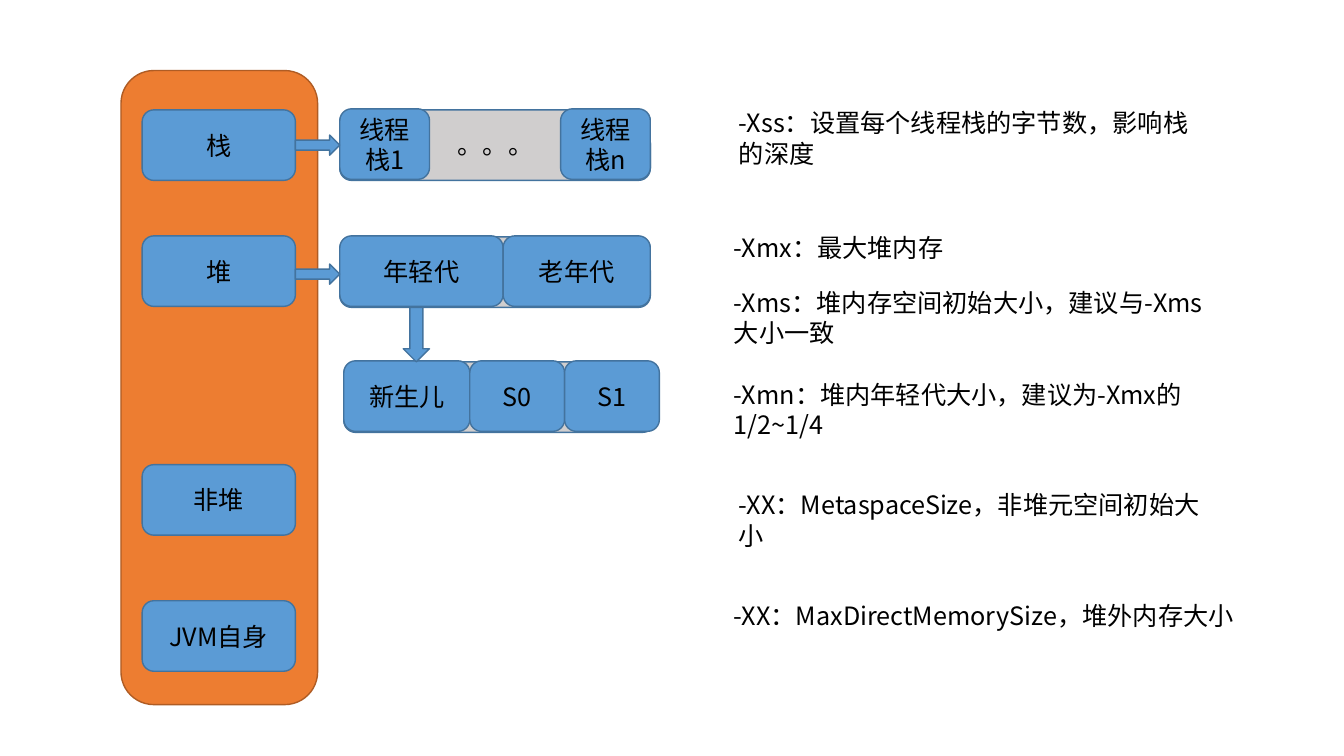
from dataclasses import dataclass

from lxml import etree
from pptx import Presentation
from pptx.dml.color import RGBColor
from pptx.enum.shapes import MSO_SHAPE
from pptx.enum.text import MSO_ANCHOR, MSO_AUTO_SIZE, PP_ALIGN
from pptx.oxml.ns import qn
from pptx.util import Inches, Pt

ROUNDED = MSO_SHAPE.ROUNDED_RECTANGLE
RIGHT_ARROW = MSO_SHAPE.RIGHT_ARROW
DOWN_ARROW = MSO_SHAPE.DOWN_ARROW
CENTER = PP_ALIGN.CENTER
MIDDLE = MSO_ANCHOR.MIDDLE
GROW = MSO_AUTO_SIZE.SHAPE_TO_FIT_TEXT


@dataclass(frozen=True)
class Theme:
    """Colours and type of the slide."""
    block: str = "5B9BD5"
    block_line: str = "43739E"
    process: str = "ED7D31"
    process_line: str = "AF5C24"
    track: str = "D0CECE"
    text: str = "000000"
    font: str = "Noto Sans CJK SC"
    size: float = 18
    leading: float = 21.6


THEME = Theme()

# Memory areas of the JVM process: label, top
AREAS = [("栈", 1.09), ("堆", 2.34), ("非堆", 4.61), ("JVM自身", 5.96)]
AREA_LEFT, AREA_WIDTH, BLOCK_HEIGHT = 1.41, 1.52, 0.7
PROCESS_BOX = (1.2, 0.7, 1.95, 6.29)

# Detail rows: left, top, then parts as (label, offset, width)
TRACK_WIDTH = 3.08
DETAILS = [
    (3.37, 1.08, [("线程栈1", 0, 0.89), ("线程栈n", 2.19, 0.89)]),
    (3.37, 2.34, [("年轻代", 0, 1.62), ("老年代", 1.62, 1.46)]),
    (3.41, 3.58, [("新生儿", 0, 1.25), ("S0", 1.25, 0.94), ("S1", 2.19, 0.94)]),
]
MORE_THREADS = ("。。。", 4.44, 1.23, 1.11, 0.4)

# JVM options: text, left, top, width, number of lines
OPTIONS = [
    ("-Xss：设置每个线程栈的字节数，影响栈的深度", 7.23, 1.02, 4.88, 2),
    ("-Xmx：最大堆内存", 7.18, 2.26, 4.88, 1),
    ("-Xms：堆内存空间初始大小，建议与-Xms大小一致", 7.18, 2.8, 4.88, 2),
    ("-Xmn：堆内年轻代大小，建议为-Xmx的1/2~1/4", 7.18, 3.71, 4.88, 2),
    ("-XX：MetaspaceSize，非堆元空间初始大小", 7.23, 4.81, 4.88, 2),
    ("-XX：MaxDirectMemorySize，堆外内存大小", 7.18, 5.91, 5.43, 1),
]

ARROWS = [
    (DOWN_ARROW, (4, 3.05, 0.26, 0.54)),
    (RIGHT_ARROW, (2.93, 1.34, 0.44, 0.2)),
    (RIGHT_ARROW, (2.93, 2.62, 0.44, 0.2)),
]


def write(frame, text, align=None):
    """Put one styled paragraph into a text frame."""
    frame.word_wrap = True
    frame.text = text
    paragraph = frame.paragraphs[0]
    paragraph.alignment = align
    paragraph.line_spacing = Pt(THEME.leading)
    font = paragraph.runs[0].font
    font.size = Pt(THEME.size)
    font.name = THEME.font
    font.color.rgb = RGBColor.from_string(THEME.text)
    east_asian = etree.SubElement(paragraph.runs[0].font._element, qn("a:ea"))
    east_asian.set("typeface", THEME.font)


def add_block(slide, box, label="", kind=ROUNDED, fill=THEME.block,
              line=THEME.block_line):
    """Add a filled, outlined shape with an optional centred label."""
    block = slide.shapes.add_shape(kind, *map(Inches, box))
    block.shadow.inherit = False
    block.fill.solid()
    block.fill.fore_color.rgb = RGBColor.from_string(fill)
    block.line.color.rgb = RGBColor.from_string(line)
    block.line.width = Pt(1)
    if label:
        block.text_frame.vertical_anchor = MIDDLE
        write(block.text_frame, label, CENTER)


def add_note(slide, text, *box):
    """Add a text box that grows with its text."""
    note = slide.shapes.add_textbox(*map(Inches, box))
    write(note.text_frame, text)
    note.text_frame.auto_size = GROW


def add_detail(slide, left, top, parts):
    """Add a grey track and the blocks that lie on it."""
    add_block(slide, (left, top + 0.01, TRACK_WIDTH, BLOCK_HEIGHT),
              fill=THEME.track)
    for label, offset, width in parts:
        add_block(slide, (left + offset, top, width, BLOCK_HEIGHT), label)


prs = Presentation()
prs.slide_width, prs.slide_height = Inches(13.33), Inches(7.5)
slide = prs.slides.add_slide(prs.slide_layouts[6])

add_block(slide, PROCESS_BOX, fill=THEME.process, line=THEME.process_line)
for label, top in AREAS:
    add_block(slide, (AREA_LEFT, top, AREA_WIDTH, BLOCK_HEIGHT), label)
for detail in DETAILS:
    add_detail(slide, *detail)
add_note(slide, *MORE_THREADS)
for text, left, top, width, lines in OPTIONS:
    add_note(slide, text, left, top, width, 0.1 + 0.3 * lines)
for kind, box in ARROWS:
    add_block(slide, box, kind=kind)

prs.save("out.pptx")
